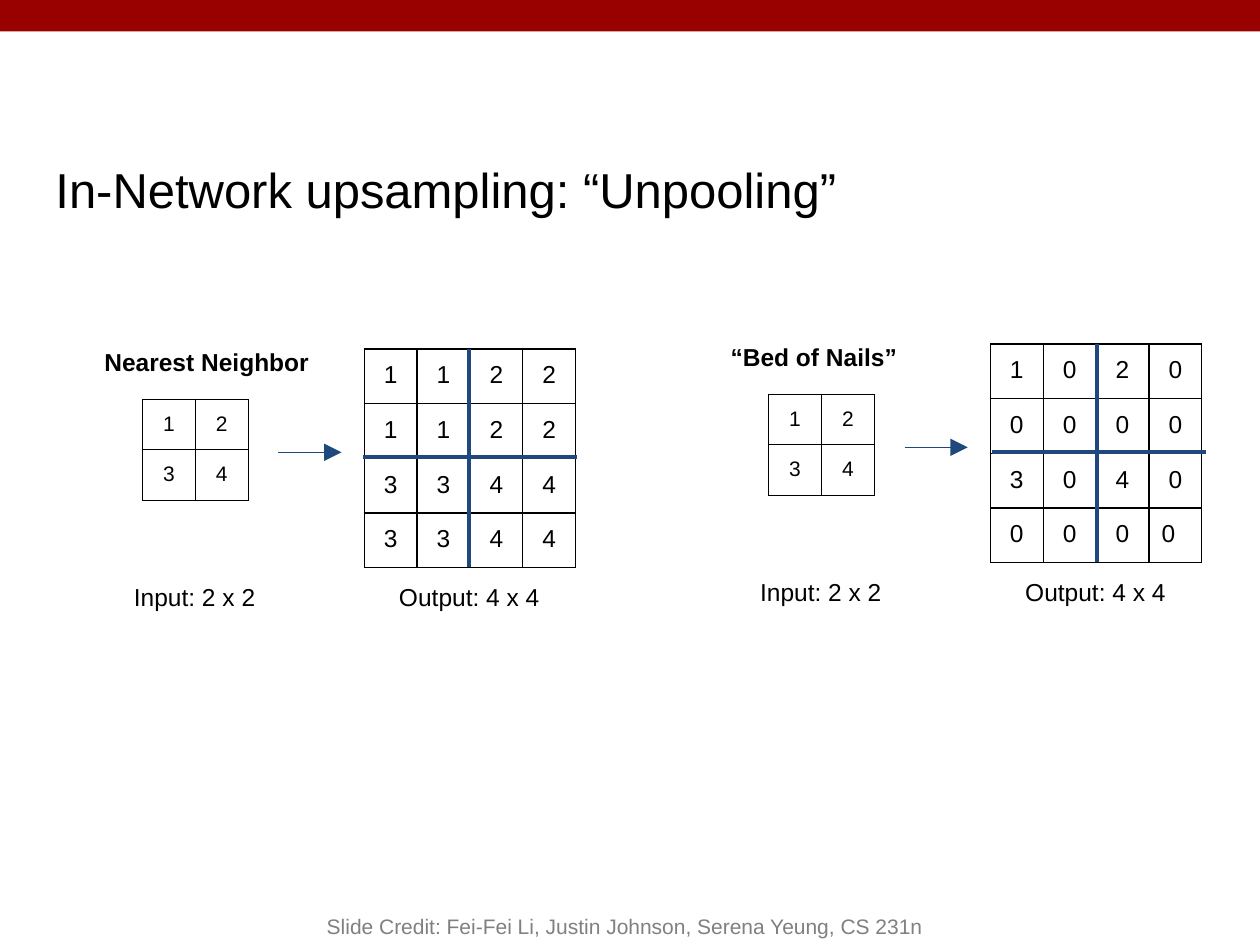
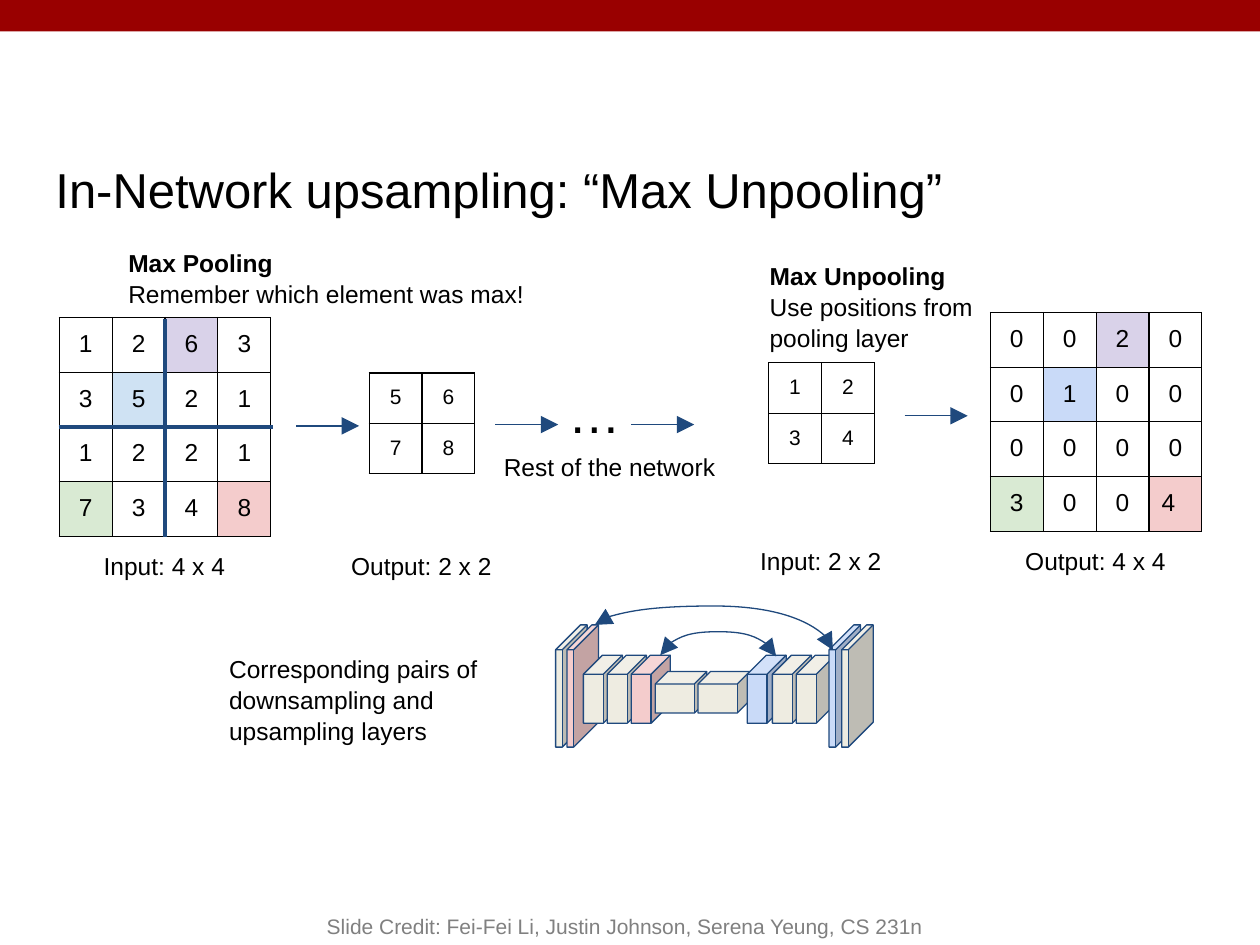
import pptx
import pptx.util
import pptx.oxml
import pptx.oxml.ns
import pptx.dml.color
import pptx.enum.shapes
import pptx.enum.text

Inches = pptx.util.Inches
Pt = pptx.util.Pt
RGBColor = pptx.dml.color.RGBColor
SHAPE = pptx.enum.shapes.MSO_SHAPE
CONNECTOR = pptx.enum.shapes.MSO_CONNECTOR
ALIGN = pptx.enum.text.PP_ALIGN
ANCHOR = pptx.enum.text.MSO_ANCHOR

BLACK = RGBColor(0x00, 0x00, 0x00)
CARDINAL = RGBColor(0x99, 0x00, 0x00)
NAVY = RGBColor(0x1F, 0x49, 0x7D)
GRAY = RGBColor(0x80, 0x80, 0x80)
SAND = RGBColor(0xEE, 0xEC, 0xE1)
PURPLE = RGBColor(0xD9, 0xD2, 0xE9)
SKY = RGBColor(0xCF, 0xE2, 0xF3)
BLUE = RGBColor(0xC9, 0xDA, 0xF8)
GREEN = RGBColor(0xD9, 0xEA, 0xD3)
PINK = RGBColor(0xF4, 0xCC, 0xCC)

FONT = "Arial"
CREDIT = "Slide Credit: Fei-Fei Li, Justin Johnson, Serena Yeung, CS 231n"
MARGINS = {side: Inches(0.1) for side in
           ("margin_left", "margin_top", "margin_right", "margin_bottom")}
CELL = 0.42
ROW = 0.38
GRID_HEIGHT = 1.73


def apply(target, values):
    for name, value in values.items():
        setattr(target, name, value)


def style_font(font, size, color=BLACK, bold=False):
    apply(font, {"name": FONT, "size": Pt(size), "bold": bold})
    font.color.rgb = color


def append_xml(parent, tag, attributes="", inner=""):
    namespace = pptx.oxml.ns.nsdecls("a")
    parent.append(pptx.oxml.parse_xml(
        f"<a:{tag} {namespace} {attributes}>{inner}</a:{tag}>"))


def add_label(slide, left, top, width, height, lines, align=ALIGN.LEFT,
              size=14, bold_first=False):
    label = slide.shapes.add_textbox(
        Inches(left), Inches(top), Inches(width), Inches(height))
    frame = label.text_frame
    apply(frame, {"word_wrap": True, **MARGINS})
    frame.text = "\n".join(lines)
    for index, paragraph in enumerate(frame.paragraphs):
        apply(paragraph, {"alignment": align, "line_spacing": 1.05})
        style_font(paragraph.font, size, bold=bold_first and index == 0)


def add_caption(slide, left, top, text):
    add_label(slide, left, top, 1.67, 0.39, [text], ALIGN.CENTER)


def add_grid(slide, left, top, rows, size, fills=None, last_align=ALIGN.CENTER):
    fills = fills or {}
    count = len(rows)
    table = slide.shapes.add_table(
        count, count, Inches(left), Inches(top),
        Inches(CELL * count), Inches(ROW * count)).table
    apply(table, {"first_row": False, "horz_banding": False})
    for column in table.columns:
        column.width = Inches(CELL)
    for r, row in enumerate(rows):
        table.rows[r].height = Inches(ROW)
        for c, digit in enumerate(row):
            cell = table.cell(r, c)
            apply(cell, {"text": digit, **MARGINS})
            paragraph = cell.text_frame.paragraphs[0]
            is_last = r == c == count - 1
            paragraph.alignment = last_align if is_last else ALIGN.CENTER
            style_font(paragraph.font, size)
            add_borders(cell)
            if (r, c) in fills:
                cell.fill.solid()
                cell.fill.fore_color.rgb = fills[r, c]
            else:
                cell.fill.background()


def add_borders(cell):
    properties = cell._tc.get_or_add_tcPr()
    for side in ("lnL", "lnR", "lnT", "lnB"):
        append_xml(properties, side, f'w="{Pt(0.75)}"',
                   f'<a:solidFill><a:srgbClr val="{BLACK}"/></a:solidFill>')


def add_line(shapes, start, end, width=0.75, ends=(), kind=CONNECTOR.STRAIGHT):
    line = shapes.add_connector(kind, *map(Inches, start + end))
    line.line.color.rgb = NAVY
    line.line.width = Pt(width)
    for end_tag in ends:
        append_xml(line.line._get_or_add_ln(), end_tag,
                   'type="triangle" w="lg" len="lg"')
    append_xml(line._element.spPr, "effectLst")
    return line


def add_arrow(slide, left, y):
    add_line(slide.shapes, (left, y), (left + 0.5, y), ends=["tailEnd"])


def add_cross(slide, left, top):
    middle_x, middle_y = left + 0.84, top + 0.86
    add_line(slide.shapes, (middle_x, top), (middle_x, top + GRID_HEIGHT), 2.25)
    add_line(slide.shapes, (left, middle_y), (left + 1.7, middle_y), 2.25)


def add_skip_arc(shapes, start, end, peak):
    rise, span = end[1] - start[1], end[0] - start[0]
    center_x, center_y = (start[0] + end[0]) / 2, (start[1] + end[1]) / 2
    left, top = center_x - rise / 2, center_y - span / 2
    arc = add_line(shapes, (left + rise, top), (left, top + span),
                   ends=["headEnd", "tailEnd"], kind=CONNECTOR.CURVE)
    properties = arc._element.spPr
    properties.xfrm.set("rot", str(270 * 60000))
    bend = round((peak - start[1]) / rise * 100000)
    append_xml(properties.prstGeom.avLst, "gd",
               f'name="adj1" fmla="val {bend}"')


def add_layers(shapes, top, width, height, depth, layers):
    for left, color in layers:
        layer = shapes.add_shape(SHAPE.CUBE, Inches(left), Inches(top),
                                 Inches(width), Inches(height))
        layer.adjustments[0] = depth
        layer.shadow.inherit = False
        layer.fill.solid()
        layer.fill.fore_color.rgb = color
        layer.line.color.rgb = NAVY
        layer.line.width = Pt(0.75)


def add_network(slide):
    shapes = slide.shapes.add_group_shape().shapes
    outer = (4.96, 0.25, 0.97, 0.79)
    middle = (5.2, 0.31, 0.54, 0.49)
    inner = (5.33, 0.41, 0.33, 0.3)
    add_layers(shapes, *outer, [(4.41, SAND), (4.5, PINK)])
    add_layers(shapes, *middle, [(4.63, SAND), (4.82, SAND), (5.01, PINK)])
    add_layers(shapes, *inner, [(5.2, SAND), (5.54, SAND)])
    add_layers(shapes, *middle, [(5.93, BLUE), (6.13, SAND), (6.32, SAND)])
    add_layers(shapes, *outer, [(6.58, BLUE), (6.68, SAND)])
    add_skip_arc(shapes, (5.24, 5.2), (6.16, 5.21), 5.01)
    add_skip_arc(shapes, (4.72, 4.96), (6.61, 5.16), 4.81)


def add_unpooling(slide, left, top, output, fills=None, last_align=ALIGN.CENTER):
    add_grid(slide, left - 1.76, top + 0.4, ["12", "34"], 12)
    add_arrow(slide, left - 0.68, top + 0.82)
    add_grid(slide, left, top, output, 14, fills, last_align)
    add_caption(slide, left - 2.18, top + 1.74, "Input: 2 x 2")
    add_caption(slide, left, top + 1.74, "Output: 4 x 4")


def add_slide(deck, title_text):
    slide = deck.slides.add_slide(deck.slide_layouts[5])
    band = slide.shapes.add_shape(
        SHAPE.RECTANGLE, 0, 0, deck.slide_width, Inches(0.25))
    band.shadow.inherit = False
    band.fill.solid()
    band.fill.fore_color.rgb = CARDINAL
    band.line.fill.background()

    title = slide.shapes.title
    apply(title, {"left": Inches(0.34), "top": Inches(1.03),
                  "width": Inches(9), "height": Inches(0.94)})
    apply(title.text_frame, {
        "text": title_text, "word_wrap": True, "vertical_anchor": ANCHOR.MIDDLE,
        "auto_size": pptx.enum.text.MSO_AUTO_SIZE.NONE, **MARGINS})
    heading = title.text_frame.paragraphs[0]
    heading.alignment = ALIGN.LEFT
    style_font(heading.font, 28)

    credit = slide.shapes.add_textbox(
        Inches(2), Inches(7), Inches(5.92), Inches(0.5)).text_frame
    apply(credit, {"text": CREDIT, "word_wrap": True,
                   "vertical_anchor": ANCHOR.BOTTOM})
    credit.paragraphs[0].alignment = ALIGN.CENTER
    style_font(credit.paragraphs[0].font, 12, GRAY)
    return slide


def build_unpooling(deck):
    slide = add_slide(deck, "In-Network upsampling: “Unpooling”")
    add_unpooling(slide, 2.89, 2.77, ["1122", "1122", "3344", "3344"])
    add_label(slide, 0.73, 2.64, 2.16, 0.35, ["Nearest Neighbor"],
              bold_first=True)
    add_cross(slide, 2.88, 2.77)
    add_unpooling(slide, 7.86, 2.73, ["1020", "0000", "3040", "0000"],
                  last_align=ALIGN.LEFT)
    add_label(slide, 5.7, 2.6, 2.16, 0.35, ["“Bed of Nails”"],
              bold_first=True)
    add_cross(slide, 7.87, 2.73)


def build_max_unpooling(deck):
    slide = add_slide(deck, "In-Network upsampling: “Max Unpooling”")
    maxima = {(0, 2): PURPLE, (1, 1): SKY, (3, 0): GREEN, (3, 3): PINK}
    add_label(slide, 0.92, 1.86, 3.73, 0.63,
              ["Max Pooling", "Remember which element was max!"],
              bold_first=True)
    add_grid(slide, 0.47, 2.52, ["1263", "3521", "1221", "7348"], 14, maxima)
    add_cross(slide, 0.47, 2.53)
    add_grid(slide, 2.93, 2.96, ["56", "78"], 12)
    add_caption(slide, 0.47, 4.26, "Input: 4 x 4")
    add_caption(slide, 2.51, 4.26, "Output: 2 x 2")
    for left, y in [(2.35, 3.38), (3.93, 3.37), (5.01, 3.37)]:
        add_arrow(slide, left, y)
    add_label(slide, 4.41, 2.9, 0.68, 0.61, ["…"], size=30)
    add_label(slide, 3.9, 3.48, 1.94, 0.43, ["Rest of the network"])

    add_unpooling(slide, 7.86, 2.48, ["0020", "0100", "0000", "3004"],
                  {**maxima, (1, 1): BLUE}, ALIGN.LEFT)
    add_label(slide, 6.01, 1.96, 2.16, 0.35,
              ["Max Unpooling", "Use positions from pooling layer"],
              bold_first=True)
    add_network(slide)
    add_label(slide, 1.72, 5.08, 2.47, 0.63,
              ["Corresponding pairs of downsampling and upsampling layers"])


def main():
    deck = pptx.Presentation()
    apply(deck, {"slide_width": Inches(10), "slide_height": Inches(7.5)})
    build_unpooling(deck)
    build_max_unpooling(deck)
    deck.save("out.pptx")


if __name__ == "__main__":
    main()
